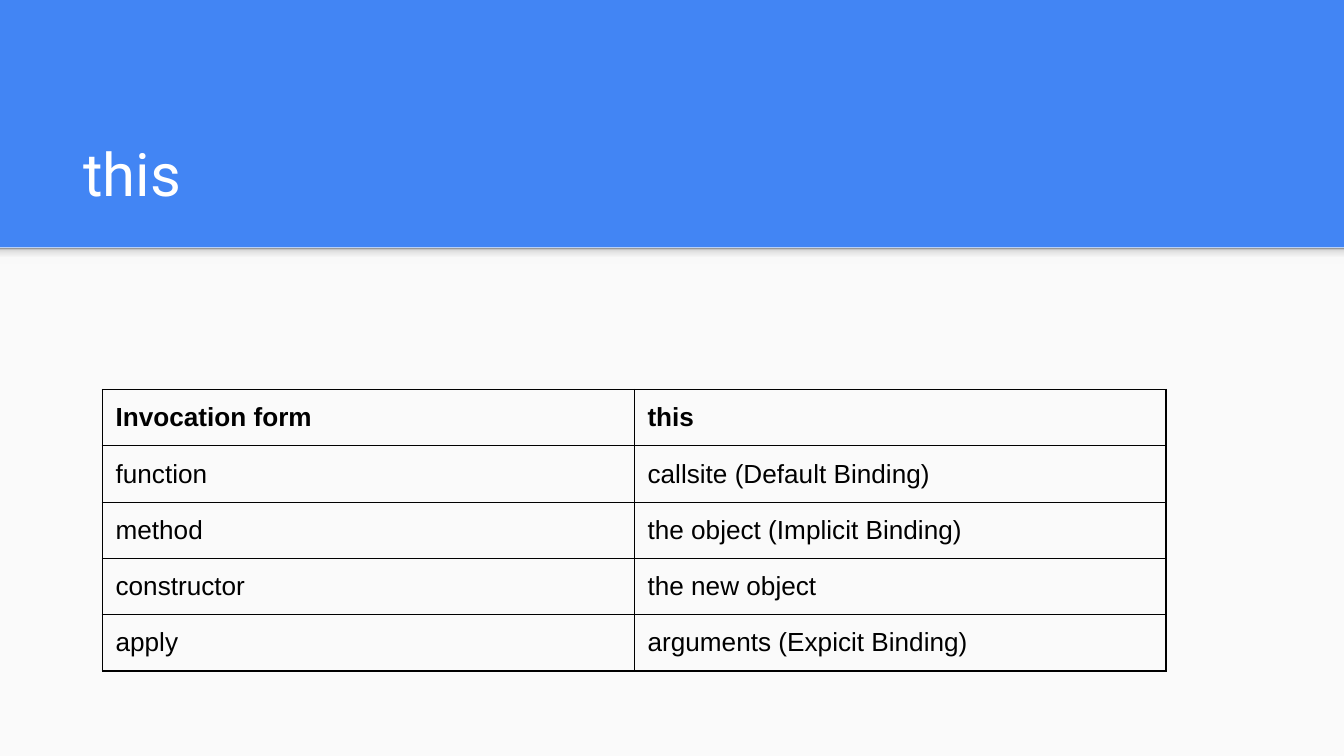
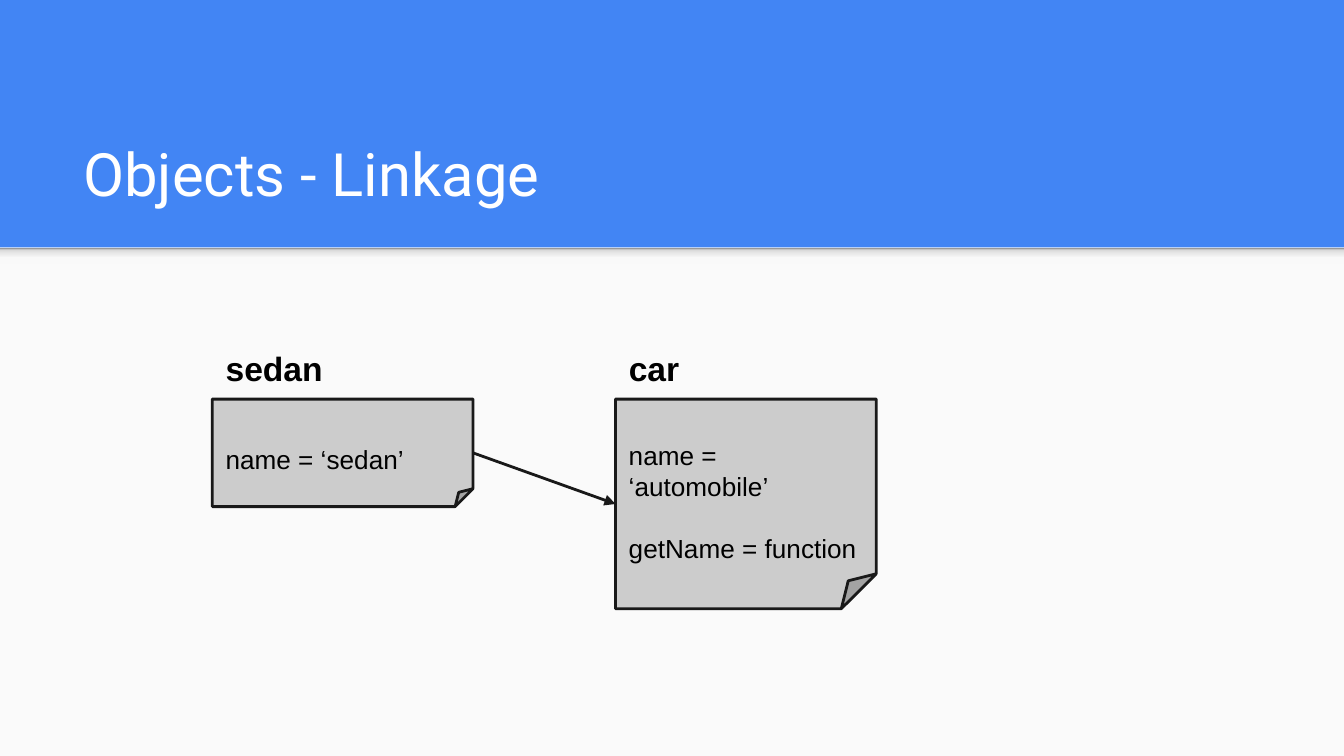
import lxml.etree
import pptx
import pptx.dml.color
import pptx.enum.shapes
import pptx.enum.text
import pptx.oxml.ns
import pptx.util

Pt = pptx.util.Pt
qn = pptx.oxml.ns.qn
SHAPES = pptx.enum.shapes.MSO_SHAPE
ANCHOR = pptx.enum.text.MSO_ANCHOR
LEFT = pptx.enum.text.PP_ALIGN.LEFT

COLORS = {
    "header": "4285F4", "panel": "FAFAFA", "title": "FFFFFF", "text": "000000",
    "note": "CCCCCC", "outline": "191919",
    "shade_light": "F9F9F9", "shade_mid": "DEDEDE", "shade_dark": "999999",
}
SHADE_STOPS = [(0, "shade_light"), (36, "shade_light"), (80, "shade_mid"), (100, "shade_dark")]
FORMATS = {
    "title": {"name": "Roboto", "size": Pt(32), "bold": False},
    "label": {"name": "Arial", "size": Pt(18), "bold": True},
    "head": {"name": "Arial", "size": Pt(14), "bold": True},
    "body": {"name": "Arial", "size": Pt(14), "bold": False},
}
INSET = 7.2
LINE_HEIGHT = 16.1
SLIDE_BOX = (0, 0, 720, 405)
TITLE_BOX = (37.44, 58.32, 647.28, 60.48)
BINDING_BOX = (54.72, 208.7, 570, 150.5)
LINKAGE_BOX = (113.76, 179.28, 355.68, 146.88)

BINDINGS = [
    ("Invocation form", "this"),
    ("function", "callsite (Default Binding)"),
    ("method", "the object (Implicit Binding)"),
    ("constructor", "the new object"),
    ("apply", "arguments (Expicit Binding)"),
]


def rgb(color):
    """Return the named colour."""
    return pptx.dml.color.RGBColor.from_string(COLORS[color])


def points(*lengths):
    """Convert numbers to point lengths."""
    return [Pt(length) for length in lengths]


def paint(fill, color):
    """Fill with one named colour."""
    fill.solid()
    fill.fore_color.rgb = rgb(color)


def outline(line):
    """Draw a dark line of the diagram."""
    line.width = Pt(1.5)
    line.color.rgb = rgb("outline")


def write(frame, lines, style, color="text", anchor=ANCHOR.TOP, gap=0, lead=0):
    """Write formatted paragraphs, lowered by lead and separated by gap."""
    settings = {
        "word_wrap": True, "auto_size": pptx.enum.text.MSO_AUTO_SIZE.NONE,
        "vertical_anchor": anchor, "margin_left": Pt(INSET), "margin_right": Pt(INSET),
        "margin_top": Pt(INSET + lead), "margin_bottom": Pt(INSET),
    }
    for key, value in settings.items():
        setattr(frame, key, value)
    for index, line in enumerate(lines):
        paragraph = frame.add_paragraph() if index else frame.paragraphs[0]
        paragraph.alignment = LEFT
        if index:
            paragraph.space_before = Pt(gap)
        run = paragraph.add_run()
        run.text = line
        for key, value in FORMATS[style].items():
            setattr(run.font, key, value)
        run.font.color.rgb = rgb(color)


def shade(fill, shape):
    """Fade a strip from dark at its top to light at its bottom."""
    fill.gradient()
    fill.gradient_angle = 90
    stops = next(shape.element.iter(qn("a:gsLst")))
    for stop in list(stops):
        stops.remove(stop)
    for position, color in SHADE_STOPS:
        stop = lxml.etree.SubElement(stops, qn("a:gs"), pos=str(position * 1000))
        lxml.etree.SubElement(stop, qn("a:srgbClr"), val=COLORS[color])


def dress_layout(layout, slide, box):
    """Give the layout its header colour, content panel and shaded edge."""
    left, top, width, height = box
    header_height = 132.6
    paint(layout.background.fill, "header")
    panel, edge = (
        slide.shapes.add_shape(SHAPES.RECTANGLE,
                               *points(left, top + header_height, width, part_height))
        for part_height in (height - header_height, 8.64))
    paint(panel.fill, "panel")
    shade(edge.fill, edge)
    for position, part in enumerate((panel, edge), start=2):
        part.shadow.inherit = False
        part.line.fill.background()
        layout.shapes.element.insert(position, part.element)


def add_title(slide, text, box):
    """Place the slide title in the header."""
    title = slide.shapes.title
    title.left, title.top, title.width, title.height = points(*box)
    write(title.text_frame, [text], "title", "title", ANCHOR.BOTTOM)


def border(cell):
    """Draw thin lines on all four sides of a cell."""
    properties = cell._tc.get_or_add_tcPr()
    for side in ("a:lnL", "a:lnR", "a:lnT", "a:lnB"):
        line = lxml.etree.SubElement(properties, qn(side), w=str(Pt(0.75)))
        fill = lxml.etree.SubElement(line, qn("a:solidFill"))
        lxml.etree.SubElement(fill, qn("a:srgbClr"), val=COLORS["text"])


def add_bindings(slide, rows, box):
    """Tabulate what each invocation form binds."""
    left, top, width, height = box
    bindings = slide.shapes.add_table(len(rows), len(rows[0]), *points(*box)).table
    bindings.first_row = bindings.horz_banding = False
    for column in bindings.columns:
        column.width = Pt(width / len(rows[0]))
    for row_index, row in enumerate(rows):
        bindings.rows[row_index].height = Pt(height / len(rows))
        for column_index, text in enumerate(row):
            cell = bindings.cell(row_index, column_index)
            border(cell)
            cell.fill.background()
            write(cell.text_frame, [text], "body" if row_index else "head")
            for side in ("left", "right", "top", "bottom"):
                setattr(cell, f"margin_{side}", Pt(INSET))


def add_object(slide, name, members, box):
    """Add a named object as a labelled note and return the note."""
    left, top, width, height = box
    label_height = 34.56
    note = slide.shapes.add_shape(
        SHAPES.FOLDED_CORNER, *points(left, top + label_height, width, height - label_height))
    note.element.spPr.find(qn("a:prstGeom")).set("prst", "foldedCorner")
    note.shadow.inherit = False
    paint(note.fill, "note")
    outline(note.line)
    write(note.text_frame, members, "body", anchor=ANCHOR.MIDDLE,
          gap=LINE_HEIGHT, lead=LINE_HEIGHT)
    label = slide.shapes.add_textbox(*points(left, top, 118.8, 20.88))
    write(label.text_frame, [name], "label")
    return note


def add_linkage(slide, box):
    """Link one object to the object it delegates to."""
    left, top, width, height = box
    note_width = 139.68
    child = add_object(slide, "sedan", ["name = ‘sedan’"], (left, top, note_width, 92.16))
    parent = add_object(slide, "car", ["name = ‘automobile’", "getName = function"],
                        (left + width - note_width, top, note_width, height))
    link = slide.shapes.add_connector(pptx.enum.shapes.MSO_CONNECTOR.STRAIGHT, 0, 0, 0, 0)
    link.begin_connect(child, 3)
    link.end_connect(parent, 1)
    outline(link.line)
    line = link.element.spPr.find(qn("a:ln"))
    lxml.etree.SubElement(line, qn("a:tailEnd"), type="triangle")
    lxml.etree.SubElement(link.element.spPr, qn("a:effectLst"))


def main():
    """Build the deck."""
    deck = pptx.Presentation()
    deck.slide_width, deck.slide_height = points(*SLIDE_BOX[2:])
    layout = deck.slide_layouts[5]
    this_slide, linkage_slide = (deck.slides.add_slide(layout) for _ in range(2))
    dress_layout(layout, this_slide, SLIDE_BOX)
    add_title(this_slide, "this", TITLE_BOX)
    add_bindings(this_slide, BINDINGS, BINDING_BOX)
    add_title(linkage_slide, "Objects - Linkage", TITLE_BOX)
    add_linkage(linkage_slide, LINKAGE_BOX)
    deck.save("out.pptx")


if __name__ == "__main__":
    main()
